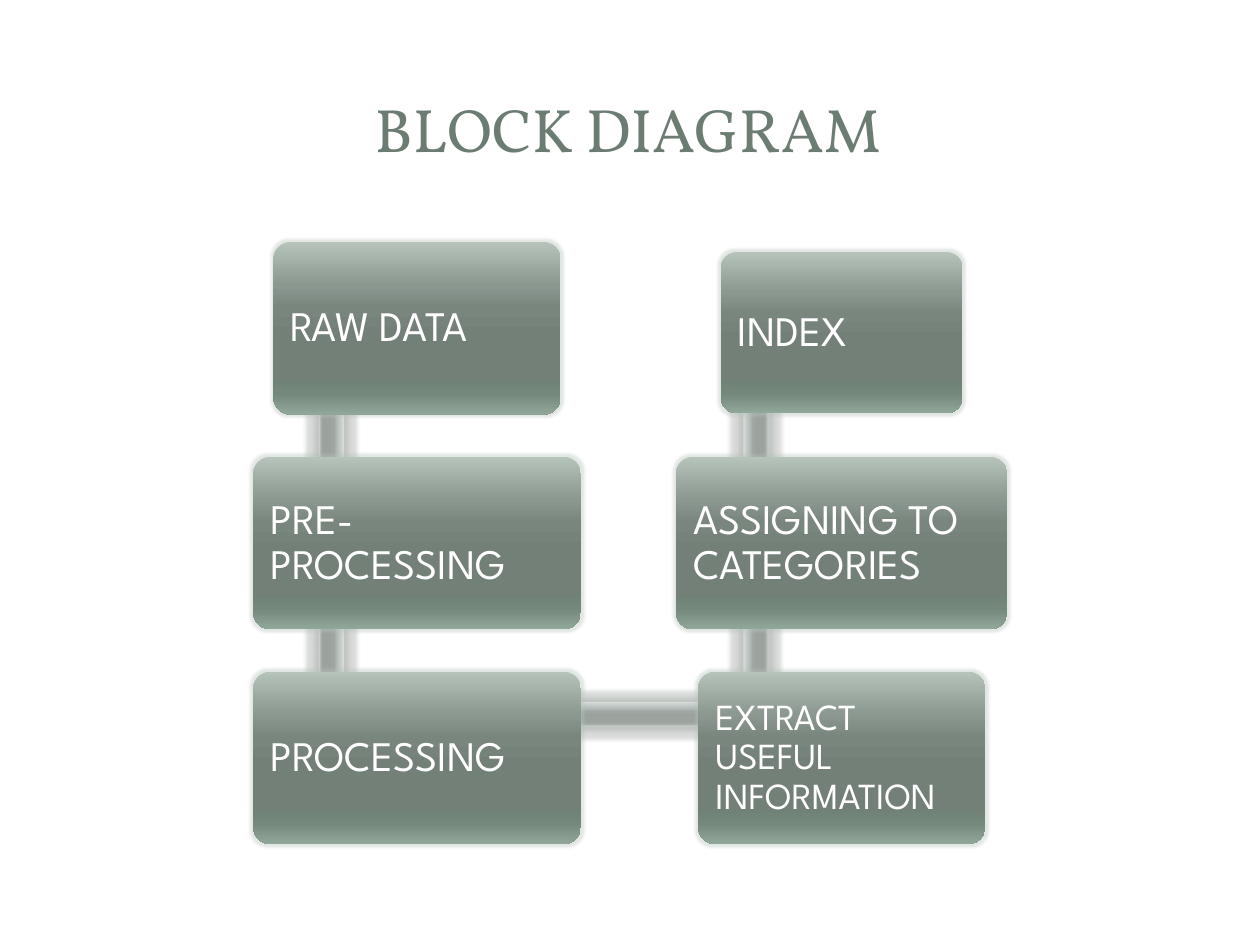
from lxml import etree
from pptx import Presentation
from pptx.dml.color import RGBColor
from pptx.enum.shapes import MSO_SHAPE
from pptx.enum.text import MSO_ANCHOR, PP_ALIGN
from pptx.oxml.ns import qn
from pptx.util import Inches, Pt

ROUNDED, BAR = MSO_SHAPE.ROUNDED_RECTANGLE, MSO_SHAPE.RECTANGLE
MIDDLE = MSO_ANCHOR.MIDDLE
LEFT, CENTER = PP_ALIGN.LEFT, PP_ALIGN.CENTER

WHITE = RGBColor(0xFF, 0xFF, 0xFF)
TITLE_GREEN = RGBColor(0x6B, 0x7D, 0x72)
BLOCK_GLOW = RGBColor(0xB6, 0xC3, 0xBB)
LINK_GLOW = RGBColor(0xA0, 0xA6, 0xA2)
STOPS = (0, 25, 38, 55, 80, 88, 100)
BLOCK_SHADES = [RGBColor.from_string(shade) for shade in
                "B6C3BB 8B9890 79867E 728078 708176 75887C 91A79A".split()]
LINK_SHADES = [RGBColor.from_string(shade) for shade in
               "D7DEDA B7BDBA A0A6A2 9CA29E 9AA19D A2AAA5 C7D0CA".split()]

TITLE_FONT, BLOCK_FONT = "Vollkorn", "League Spartan"
COLUMN_CENTERS = (3.31, 6.68)
FIRST_TOP, ROW_PITCH, BLOCK_HEIGHT = 1.92, 1.705, 1.37
LINK_THICKNESS = 0.2

BLOCKS = [
    ("RAW DATA", 0, 0, 2.28, 24),
    ("PRE-PROCESSING", 0, 1, 2.6, 24),
    ("PROCESSING", 0, 2, 2.6, 24),
    ("EXTRACT USEFUL INFORMATION", 1, 2, 2.28, 21),
    ("ASSIGNING TO CATEGORIES", 1, 1, 2.63, 24),
]
LINKS = [
    (2.63, 3.1, 1.7, 90),
    (2.63, 4.81, 1.7, 90),
    (4.32, 5.67, 3.36, 0),
    (6, 4.81, 1.7, 270),
    (6, 3.12, 1.66, 270),
]


def add_color(parent, color, alpha=None):
    node = etree.SubElement(parent, qn("a:srgbClr"), val=str(color))
    if alpha is not None:
        etree.SubElement(node, qn("a:alpha"), val=str(alpha * 1000))


def shade_vertically(shape, shades):
    shape.fill.gradient()
    shape.fill.gradient_angle = 270
    stop_list = shape._element.spPr.find(".//" + qn("a:gsLst"))
    for stop in list(stop_list):
        stop_list.remove(stop)
    for position, shade in zip(STOPS, shades):
        stop = etree.SubElement(stop_list, qn("a:gs"), pos=str(position * 1000))
        add_color(stop, shade)


def add_glow(shape, color, radius):
    shape.shadow.inherit = False
    effects = shape._element.spPr.find(qn("a:effectLst"))
    glow = etree.SubElement(effects, qn("a:glow"), rad=str(Pt(radius)))
    add_color(glow, color, alpha=40)


def add_panel(slide, kind, center_x, center_y, width, height, shades):
    panel = slide.shapes.add_shape(
        kind, Inches(center_x - width / 2), Inches(center_y - height / 2),
        Inches(width), Inches(height))
    shade_vertically(panel, shades)
    panel.line.fill.background()
    return panel


def write_text(holder, text, *, font, size, color, align=LEFT, inset=0.1, spacing=1.0):
    frame = holder.text_frame
    frame.word_wrap = True
    frame.vertical_anchor = MIDDLE
    frame.margin_left = frame.margin_right = Inches(inset)
    frame.margin_top = frame.margin_bottom = Inches(inset)
    paragraph = frame.paragraphs[0]
    paragraph.alignment = align
    paragraph.line_spacing = spacing
    run = paragraph.add_run()
    run.text = text
    run.font.name = font
    run.font.size = Pt(size)
    run.font.color.rgb = color


def add_link(slide, center_x, center_y, length, rotation):
    link = add_panel(slide, BAR, center_x, center_y, length, LINK_THICKNESS, LINK_SHADES)
    link.rotation = rotation
    add_glow(link, LINK_GLOW, 5)


def add_block(slide, text, center_x, center_y, width, height, size):
    block = add_panel(slide, ROUNDED, center_x, center_y, width, height, BLOCK_SHADES)
    block.adjustments[0] = 0.1
    add_glow(block, BLOCK_GLOW, 3)
    write_text(block, text, font=BLOCK_FONT, size=size, color=WHITE, spacing=0.9)


def add_title(slide, text):
    title = slide.shapes.add_textbox(Inches(0.47), Inches(0.45), Inches(9.03), Inches(1.14))
    write_text(title, text, font=TITLE_FONT, size=35, color=TITLE_GREEN, align=CENTER)


def main():
    presentation = Presentation()
    presentation.slide_width, presentation.slide_height = Inches(10), Inches(7.5)
    slide = presentation.slides.add_slide(presentation.slide_layouts[6])
    add_title(slide, "BLOCK DIAGRAM")
    for link in LINKS:
        add_link(slide, *link)
    for text, column, row, width, size in BLOCKS:
        center_y = FIRST_TOP + row * ROW_PITCH + BLOCK_HEIGHT / 2
        add_block(slide, text, COLUMN_CENTERS[column], center_y, width, BLOCK_HEIGHT, size)
    add_block(slide, "INDEX", COLUMN_CENTERS[1], 2.64, 1.92, 1.28, 24)
    presentation.save("out.pptx")


if __name__ == "__main__":
    main()
